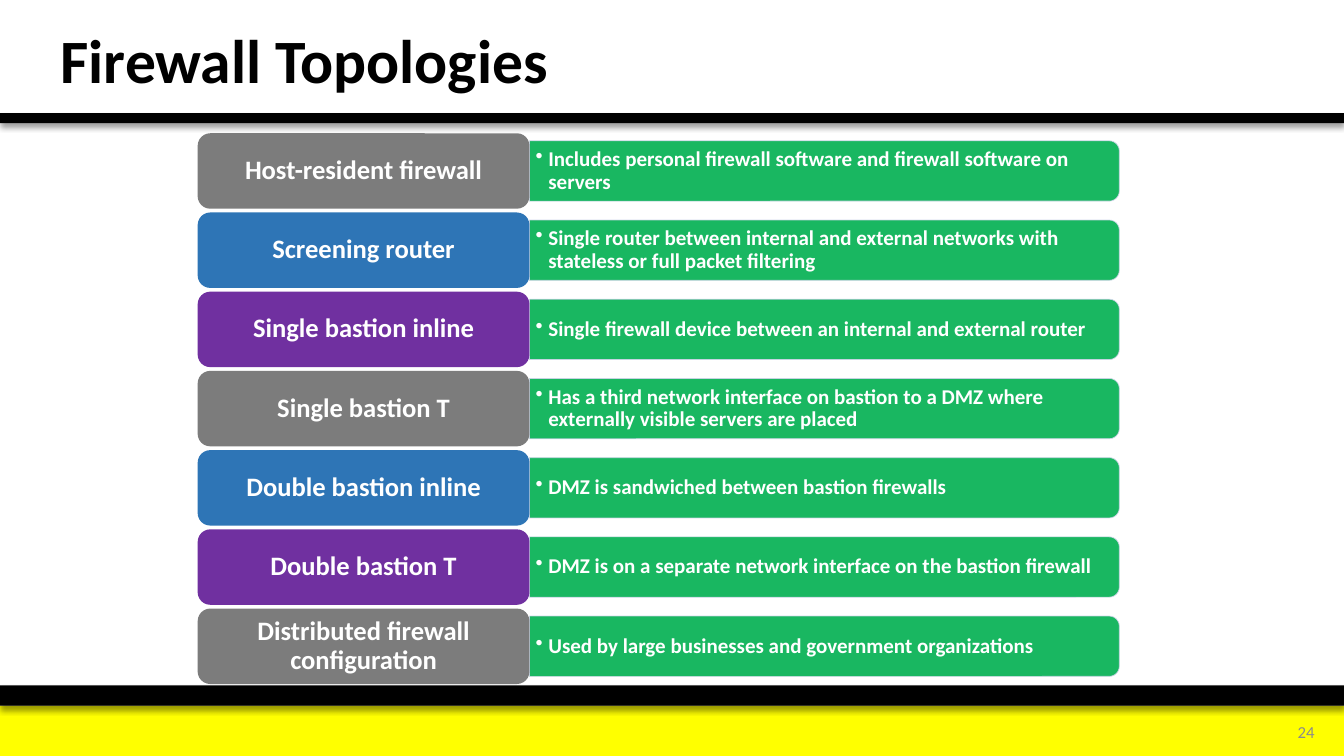
from dataclasses import dataclass

import pptx
import pptx.dml.color
import pptx.enum.shapes
import pptx.enum.text
import pptx.oxml
import pptx.oxml.ns
import pptx.util

Pt = pptx.util.Pt
Shapes = pptx.enum.shapes.MSO_SHAPE
Align = pptx.enum.text.PP_ALIGN
Anchor = pptx.enum.text.MSO_ANCHOR

FONT = "Calibri"
BLACK, WHITE, YELLOW = "000000", "FFFFFF", "FFFF00"
GREEN, PALE_BLUE, PAGE_GRAY = "00B050", "CFD5EA", "8C8C8C"
LABEL_COLORS = ("7C7C7C", "2E75B6", "7030A0")

SLIDE_WIDTH, SLIDE_HEIGHT = 960, 540
LABEL_LEFT, LABEL_WIDTH, LABEL_HEIGHT = 141.2, 237, 53.9
FIRST_TOP, ROW_PITCH = 95.2, 56.58
BAR_LEFT, BAR_LENGTH, BAR_HEIGHT = LABEL_LEFT + LABEL_WIDTH, 421.3, 43.1
NOTE_WIDTH, NOTE_HEIGHT = 419.2, 38.9


@dataclass
class Band:
    top: float
    height: float
    color: str
    shadowed: bool


@dataclass
class Topology:
    label: str
    note: str


BANDS = [
    Band(504, 36, YELLOW, False),
    Band(489.6, 14.4, BLACK, True),
    Band(80.8, 7.2, BLACK, True),
]
TOPOLOGIES = [
    Topology("Host-resident firewall",
             "Includes personal firewall software and firewall software on servers"),
    Topology("Screening router",
             "Single router between internal and external networks with "
             "stateless or full packet filtering"),
    Topology("Single bastion inline",
             "Single firewall device between an internal and external router"),
    Topology("Single bastion T",
             "Has a third network interface on bastion to a DMZ where "
             "externally visible servers are placed"),
    Topology("Double bastion inline", "DMZ is sandwiched between bastion firewalls"),
    Topology("Double bastion T",
             "DMZ is on a separate network interface on the bastion firewall"),
    Topology("Distributed firewall configuration",
             "Used by large businesses and government organizations"),
]


def rgb(color: str) -> pptx.dml.color.RGBColor:
    return pptx.dml.color.RGBColor.from_string(color)


def xml(markup: str):
    namespace = pptx.oxml.ns.nsdecls("a")
    return pptx.oxml.parse_xml(markup.replace(" NS", " " + namespace, 1))


def add_filled(slide, preset, left: float, top: float, width: float, height: float,
               color: str):
    shape = slide.shapes.add_shape(preset, Pt(left), Pt(top), Pt(width), Pt(height))
    shape.shadow.inherit = False
    shape.fill.solid()
    shape.fill.fore_color.rgb = rgb(color)
    shape.line.fill.background()
    return shape


def write(shape, text: str, size: float, color: str, align, bold: bool = True,
          spacing: float = 0.9, insets: tuple[float, float] = (7.2, 3.6)):
    frame = shape.text_frame
    frame.word_wrap = True
    frame.auto_size = pptx.enum.text.MSO_AUTO_SIZE.NONE
    frame.vertical_anchor = Anchor.MIDDLE
    frame.margin_left = frame.margin_right = Pt(insets[0])
    frame.margin_top = frame.margin_bottom = Pt(insets[1])
    paragraph = frame.paragraphs[0]
    paragraph.alignment = align
    paragraph.line_spacing = spacing
    run = paragraph.add_run()
    run.text = text
    run.font.name, run.font.size, run.font.bold = FONT, Pt(size), bold
    run.font.color.rgb = rgb(color)
    return paragraph


def add_band(slide, band: Band) -> None:
    stripe = add_filled(slide, Shapes.RECTANGLE, 0, band.top, SLIDE_WIDTH, band.height,
                        band.color)
    if band.shadowed:
        effects = stripe._element.spPr.find(pptx.oxml.ns.qn("a:effectLst"))
        effects.append(xml(
            f'<a:outerShdw NS blurRad="{Pt(4)}" dist="{Pt(3)}" dir="5400000" '
            'algn="t" rotWithShape="0"><a:srgbClr val="000000">'
            '<a:alpha val="40000"/></a:srgbClr></a:outerShdw>'))


def add_topology(slide, topology: Topology, top: float, color: str) -> None:
    middle = top + LABEL_HEIGHT / 2

    # Description bar: an upright shape turned so its round end faces right
    bar = add_filled(slide, Shapes.ROUND_2_SAME_RECTANGLE,
                     BAR_LEFT + (BAR_LENGTH - BAR_HEIGHT) / 2, middle - BAR_LENGTH / 2,
                     BAR_HEIGHT, BAR_LENGTH, GREEN)
    bar.rotation = 90
    bar.line.color.rgb = rgb(PALE_BLUE)
    bar.line.width = Pt(0.5)
    for tint in bar._element.spPr.iter(pptx.oxml.ns.qn("a:srgbClr")):
        tint.append(xml('<a:alpha NS val="90000"/>'))

    # Description text
    note = slide.shapes.add_textbox(Pt(BAR_LEFT), Pt(middle - NOTE_HEIGHT / 2),
                                    Pt(NOTE_WIDTH), Pt(NOTE_HEIGHT))
    paragraph = write(note, topology.note, 15, WHITE, Align.LEFT, insets=(4.5, 2.25))
    properties = paragraph._p.get_or_add_pPr()
    properties.set("marL", str(Pt(9)))
    properties.set("indent", str(Pt(-9)))
    properties.append(xml('<a:buChar NS char="•"/>'))

    # Label
    label = add_filled(slide, Shapes.ROUNDED_RECTANGLE, LABEL_LEFT, top, LABEL_WIDTH,
                       LABEL_HEIGHT, color)
    write(label, topology.label, 19, WHITE, Align.CENTER, insets=(5.7, 2.85))


def main() -> None:
    deck = pptx.Presentation()
    deck.slide_width, deck.slide_height = Pt(SLIDE_WIDTH), Pt(SLIDE_HEIGHT)
    slide = deck.slides.add_slide(deck.slide_layouts.get_by_name("Title Only"))

    # Title
    title = slide.shapes.title
    title.left, title.top, title.width, title.height = Pt(36), Pt(5), Pt(754), Pt(80.6)
    write(title, "Firewall Topologies", 44, BLACK, Align.LEFT)

    # Header and footer bands
    for band in BANDS:
        add_band(slide, band)

    # Page number
    page_number = slide.shapes.add_textbox(Pt(891.4), Pt(508.3), Pt(54.7), Pt(28.8))
    write(page_number, "24", 12, PAGE_GRAY, Align.RIGHT, bold=False, spacing=1.0)

    # Topology rows
    for row, topology in enumerate(TOPOLOGIES):
        add_topology(slide, topology, FIRST_TOP + row * ROW_PITCH,
                     LABEL_COLORS[row % len(LABEL_COLORS)])

    deck.save("out.pptx")


if __name__ == "__main__":
    main()
